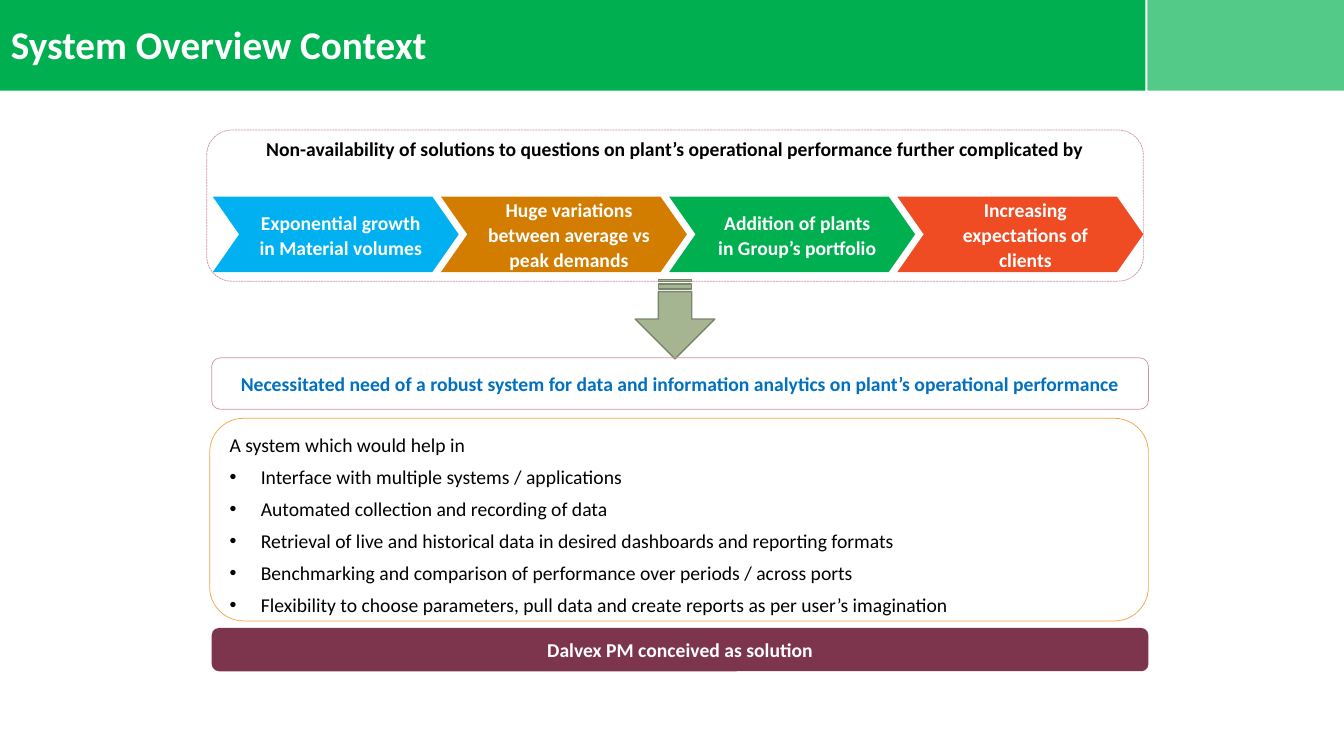
from lxml import etree
from pptx import Presentation
from pptx import util as u
from pptx.dml.color import RGBColor
from pptx.enum import dml, shapes, text
from pptx.oxml.ns import qn

COLOURS = {
    "green": "00B050", "blue": "00B0F0", "amber": "D27D00", "red": "F04C23",
    "sage": "A5B592", "sage_edge": "7A866C", "rose": "D092A7", "orange": "F3A447",
    "plum": "7C354D", "link": "0070C0", "white": "FFFFFF", "black": "000000",
}
CENTER = text.PP_ALIGN.CENTER
LEFT = text.PP_ALIGN.LEFT
TOP = text.MSO_ANCHOR.TOP
MIDDLE = text.MSO_ANCHOR.MIDDLE
KINDS = shapes.MSO_SHAPE


class SlideBuilder:
    font = "Calibri"
    body_size = 14

    def __init__(self, page):
        self.page = page

    def colour(self, name):
        return RGBColor.from_string(COLOURS[name])

    def shape(self, kind, place, fill=None, line=None, width=0.5, adjust=(), alpha=None):
        box = self.page.shapes.add_shape(kind, *map(u.Inches, place))
        box.shadow.inherit = False
        for index, value in enumerate(adjust):
            box.adjustments[index] = value
        if fill:
            box.fill.solid()
            box.fill.fore_color.rgb = self.colour(fill)
        else:
            box.fill.background()
        if alpha:
            tint = box._element.spPr.find(qn("a:solidFill"))[0]
            etree.SubElement(tint, qn("a:alpha"), val=str(alpha * 1000))
        if line:
            box.line.color.rgb = self.colour(line)
            box.line.width = u.Pt(width)
        else:
            box.line.fill.background()
        return box

    def label(self, box, lines, colour, size=body_size, bold=True, align=CENTER,
              anchor=MIDDLE, insets=(0.1, 0.05, 0.1, 0.05), spacing=None):
        frame = box.text_frame
        frame.word_wrap = True
        frame.vertical_anchor = anchor
        (frame.margin_left, frame.margin_top,
         frame.margin_right, frame.margin_bottom) = map(u.Inches, insets)
        frame.text = "\n".join(lines)
        for para in frame.paragraphs:
            para.alignment = align
            if spacing:
                para.line_spacing = spacing
            for span in para.runs:
                span.font.name = self.font
                span.font.size = u.Pt(size)
                span.font.bold = bold
                span.font.color.rgb = self.colour(colour)
        return frame

    def title(self, place, words):
        box = self.page.shapes.add_textbox(*map(u.Inches, place))
        self.label(box, [words], "white", size=28, align=LEFT, spacing=0.9)

    def chevron(self, place, words, fill):
        box = self.shape(KINDS.CHEVRON, place, fill, adjust=[0.35])
        self.label(box, [words], "white", insets=(0.2, 0.05, 0.1, 0.05), spacing=1.06)

    def panel(self, place, words, colour, fill=None, line=None):
        box = self.shape(KINDS.ROUNDED_RECTANGLE, place, fill, line)
        self.label(box, [words], colour)

    def bullet_panel(self, place, lead, items, line):
        box = self.shape(KINDS.ROUNDED_RECTANGLE, place, line=line)
        frame = self.label(box, [lead, *items], "black", bold=False, align=LEFT, anchor=TOP)
        frame.paragraphs[0].space_after = u.Pt(3)
        for para in frame.paragraphs[1:]:
            para.space_before = para.space_after = u.Pt(3)
            settings = para._p.get_or_add_pPr()
            settings.set("marL", str(u.Inches(0.31)))
            settings.set("indent", str(u.Inches(-0.31)))
            etree.SubElement(settings, qn("a:buFont"), typeface="Arial")
            etree.SubElement(settings, qn("a:buChar"), char="•")


def main():
    deck = Presentation()
    deck.slide_width, deck.slide_height = u.Inches(13.33), u.Inches(7.5)
    page = deck.slides.add_slide(deck.slide_layouts[6])
    builder = SlideBuilder(page)

    builder.shape(KINDS.RECTANGLE, (0, 0, 11.36, 0.9), "green")
    builder.shape(KINDS.RECTANGLE, (11.38, 0, 1.95, 0.9), "green", alpha=67)
    builder.title((0.01, 0.19, 8, 0.54), "System Overview Context")

    challenges = [
        ("Exponential growth in Material volumes", "blue"),
        ("Huge variations between average vs peak demands", "amber"),
        ("Addition of plants in Group’s portfolio", "green"),
        ("Increasing expectations of clients", "red"),
    ]
    step = (8.9 - 2.11) / (len(challenges) - 1)
    for index, (words, fill) in enumerate(challenges):
        builder.chevron((2.11 + index * step, 1.95, 2.44, 0.75), words, fill)

    frame_box = builder.shape(KINDS.ROUNDED_RECTANGLE, (2.05, 1.29, 9.29, 1.5), line="rose")
    frame_box.line.dash_style = dml.MSO_LINE.SQUARE_DOT
    builder.label(
        frame_box,
        ["Non-availability of solutions to questions on plant’s operational "
         "performance further complicated by"],
        "black", anchor=TOP, insets=(0.1, 0, 0.1, 0))

    arrow = builder.shape(KINDS.STRIPED_RIGHT_ARROW, (6.3, 2.77, 0.79, 0.79),
                          "sage", "sage_edge", width=1, adjust=(0.419, 0.5))
    arrow.rotation = 90

    builder.panel(
        (2.1, 3.55, 9.29, 0.51),
        "Necessitated need of a robust system for data and information analytics "
        "on plant’s operational performance",
        "link", line="rose")
    builder.bullet_panel(
        (2.08, 4.15, 9.31, 2.01),
        "A system which would help in",
        [
            "Interface with multiple systems / applications",
            "Automated collection and recording of data",
            "Retrieval of live and historical data in desired dashboards and reporting formats",
            "Benchmarking and comparison of performance over periods / across ports",
            "Flexibility to choose parameters, pull data and create reports as per user’s imagination",
        ],
        "orange")
    builder.panel((2.1, 6.23, 9.29, 0.43), "Dalvex PM conceived as solution",
                  "white", fill="plum")

    deck.save("out.pptx")


if __name__ == "__main__":
    main()
